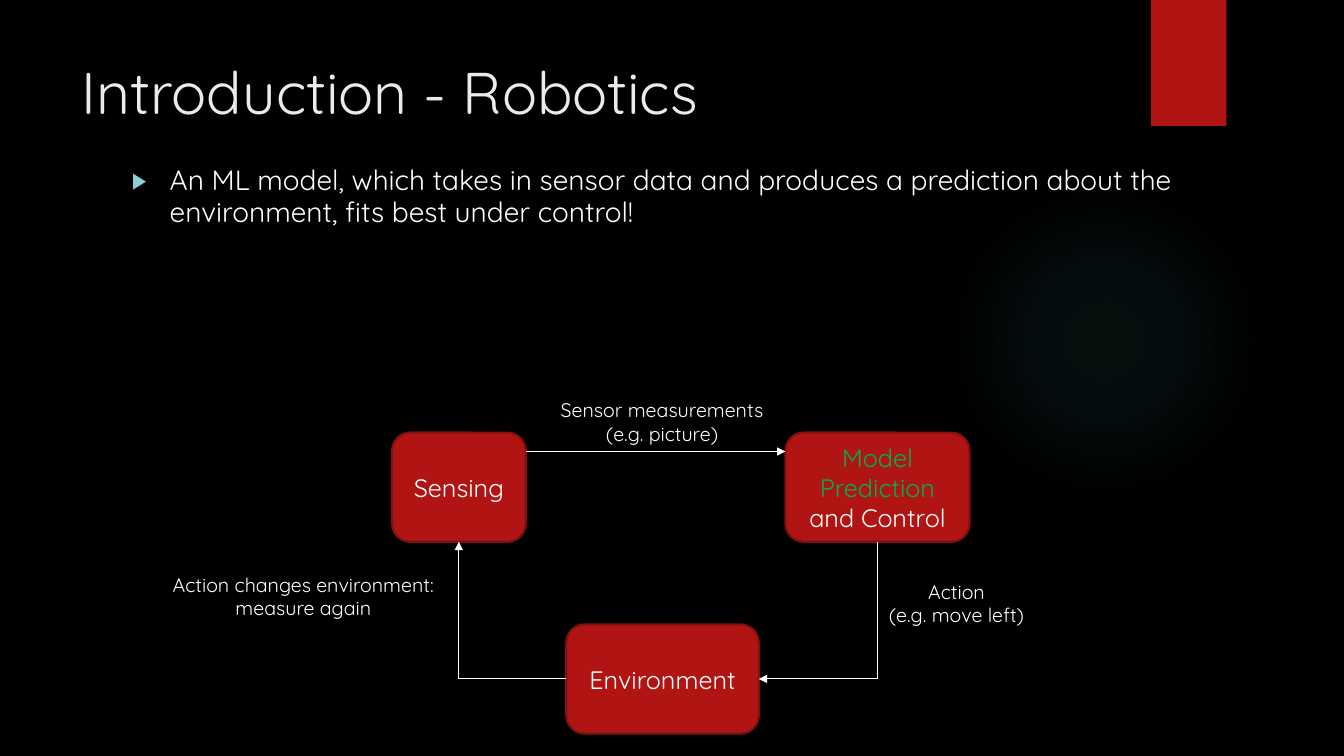
"""Build the robotics introduction slide with its sense-control-environment loop."""
from lxml import etree
from pptx import Presentation
from pptx.dml.color import RGBColor
from pptx.enum import shapes, text
from pptx.oxml import parse_xml
from pptx.oxml.ns import nsdecls, qn
from pptx.util import Pt

COLORS = {
    "background": "000000", "red": "B01513", "dark red": "82100E",
    "white": "FFFFFF", "title": "EBEBEB", "green": "00B050",
    "bullet": "8AD0D6", "glow": "50B9C1",
}
FONT = "Quicksand"

TITLE = "Introduction - Robotics"
STATEMENT = ("An ML model, which takes in sensor data and produces a prediction "
             "about the environment, fits best under control!")
TITLE_AREA = (51, 36, 741, 66)
STATEMENT_AREA = (87, 114.5, 835, 64)
GLOW_AREA = (677.5, 132, 222, 222)
GLOW_STOPS = [(0, 7), (36, 6), (69, 0)]
RIBBON_AREA = (822, 0, 54, 90)

STAGES = {
    "sensing": ((280, 309, 95.5, 78), [("Sensing", "white")]),
    "control": ((561, 309, 131.5, 78),
                [("Model Prediction ", "green"), ("and Control", "white")]),
    "environment": ((404.5, 446, 137.5, 78), [("Environment", "white")]),
}
CAPTIONS = [
    ((386, 281, 174, 41), ["Sensor measurements (e.g. picture)"]),
    ((620, 410.5, 126.5, 41), ["Action", "(e.g. move left)"]),
    ((106, 405.5, 221.5, 41), ["Action changes environment: measure again"]),
]
FLOW_TOP = 322.5


def rgb(color):
    return RGBColor.from_string(COLORS[color])


def apply(target, formats):
    for attribute, value in formats.items():
        setattr(target, attribute, value)


def place(part, area):
    apply(part, dict(zip(("left", "top", "width", "height"), map(Pt, area))))


def write(paragraph, pieces, size):
    for words, color in pieces:
        run = paragraph.add_run()
        run.text = words
        apply(run.font, {"name": FONT, "size": Pt(size)})
        run.font.color.rgb = rgb(color)


def add_block(slide, kind, area, fill, outline=None):
    block = slide.shapes.add_shape(kind, *map(Pt, area))
    block.shadow.inherit = False
    block.fill.solid()
    block.fill.fore_color.rgb = rgb(fill)
    if outline:
        block.line.color.rgb = rgb(outline)
        block.line.width = Pt(1.5)
    else:
        block.line.fill.background()
    return block


def add_glow(slide):
    glow = add_block(slide, shapes.MSO_SHAPE.OVAL, GLOW_AREA, "glow")
    stops = "".join(
        f'<a:gs pos="{position * 1000}"><a:srgbClr val="{COLORS["glow"]}">'
        f'<a:alpha val="{opacity * 1000}"/></a:srgbClr></a:gs>'
        for position, opacity in GLOW_STOPS)
    gradient = parse_xml(
        f'<a:gradFill {nsdecls("a")}><a:gsLst>{stops}</a:gsLst><a:path path="circle">'
        '<a:fillToRect l="50000" t="50000" r="50000" b="50000"/></a:path></a:gradFill>')
    properties = glow.element.spPr
    properties.replace(properties.find(qn("a:solidFill")), gradient)
    return glow


def add_flow(slide, *points):
    """Join the points with straight lines and end in an arrowhead."""
    for start, end in zip(points, points[1:]):
        flow = slide.shapes.add_connector(
            shapes.MSO_CONNECTOR.STRAIGHT, *map(Pt, start + end))
        flow.line.color.rgb = rgb("white")
        flow.line.width = Pt(0.75)
        if end == points[-1]:
            etree.SubElement(flow.line._get_or_add_ln(), qn("a:tailEnd"), type="triangle")
        etree.SubElement(flow.element.spPr, qn("a:effectLst"))


def fill_placeholders(slide):
    title, statement = slide.placeholders
    for part, area, words, color, size in (
            (title, TITLE_AREA, TITLE, "title", 42),
            (statement, STATEMENT_AREA, STATEMENT, "white", 20)):
        place(part, area)
        apply(part.text_frame, {"word_wrap": True,
                                "auto_size": text.MSO_AUTO_SIZE.NONE,
                                "vertical_anchor": text.MSO_ANCHOR.TOP})
        paragraph = part.text_frame.paragraphs[0]
        write(paragraph, [(words, color)], size)
        apply(paragraph, {"alignment": text.PP_ALIGN.LEFT, "space_before": Pt(0)})
    bullet = statement.text_frame.paragraphs[0]
    properties = bullet._p.get_or_add_pPr()
    apply(properties, {"marL": Pt(27), "indent": -Pt(27)})
    color = etree.SubElement(properties, qn("a:buClr"))
    etree.SubElement(color, qn("a:srgbClr"), val=COLORS["bullet"])
    etree.SubElement(properties, qn("a:buSzPct"), val="80000")
    etree.SubElement(properties, qn("a:buChar"), char="▶")
    bullet.line_spacing = 0.95


def add_loop(slide):
    for area, pieces in STAGES.values():
        stage = add_block(slide, shapes.MSO_SHAPE.FLOWCHART_ALTERNATE_PROCESS,
                          area, "red", "dark red")
        apply(stage.text_frame, {"word_wrap": True,
                                 "vertical_anchor": text.MSO_ANCHOR.MIDDLE})
        paragraph = stage.text_frame.paragraphs[0]
        paragraph.alignment = text.PP_ALIGN.CENTER
        write(paragraph, pieces, 18)

    sensing, control, environment = (area for area, _ in STAGES.values())
    sensing_middle = sensing[0] + sensing[2] / 2
    control_middle = control[0] + control[2] / 2
    stage_bottom = sensing[1] + sensing[3]
    flow_bottom = environment[1] + environment[3] / 2
    environment_right = environment[0] + environment[2]
    add_flow(slide, (sensing[0] + sensing[2], FLOW_TOP), (control[0], FLOW_TOP))
    add_flow(slide, (control_middle, stage_bottom), (control_middle, flow_bottom),
             (environment_right, flow_bottom))
    add_flow(slide, (environment[0], flow_bottom), (sensing_middle, flow_bottom),
             (sensing_middle, stage_bottom))

    for area, lines in CAPTIONS:
        frame = slide.shapes.add_textbox(*map(Pt, area)).text_frame
        frame.word_wrap = True
        for index, line in enumerate(lines):
            paragraph = frame.add_paragraph() if index else frame.paragraphs[0]
            paragraph.alignment = text.PP_ALIGN.CENTER
            write(paragraph, [(line, "white")], 14)


def main():
    deck = Presentation()
    apply(deck, {"slide_width": Pt(960), "slide_height": Pt(540)})
    slide = deck.slides.add_slide(deck.slide_layouts[1])
    slide.background.fill.solid()
    slide.background.fill.fore_color.rgb = rgb("background")
    ribbon = add_block(slide, shapes.MSO_SHAPE.RECTANGLE, RIBBON_AREA, "red")
    glow = add_glow(slide)
    for backdrop in (ribbon, glow):
        slide.shapes.title.element.getparent().insert(2, backdrop.element)
    fill_placeholders(slide)
    add_loop(slide)
    deck.save("out.pptx")


if __name__ == "__main__":
    main()
